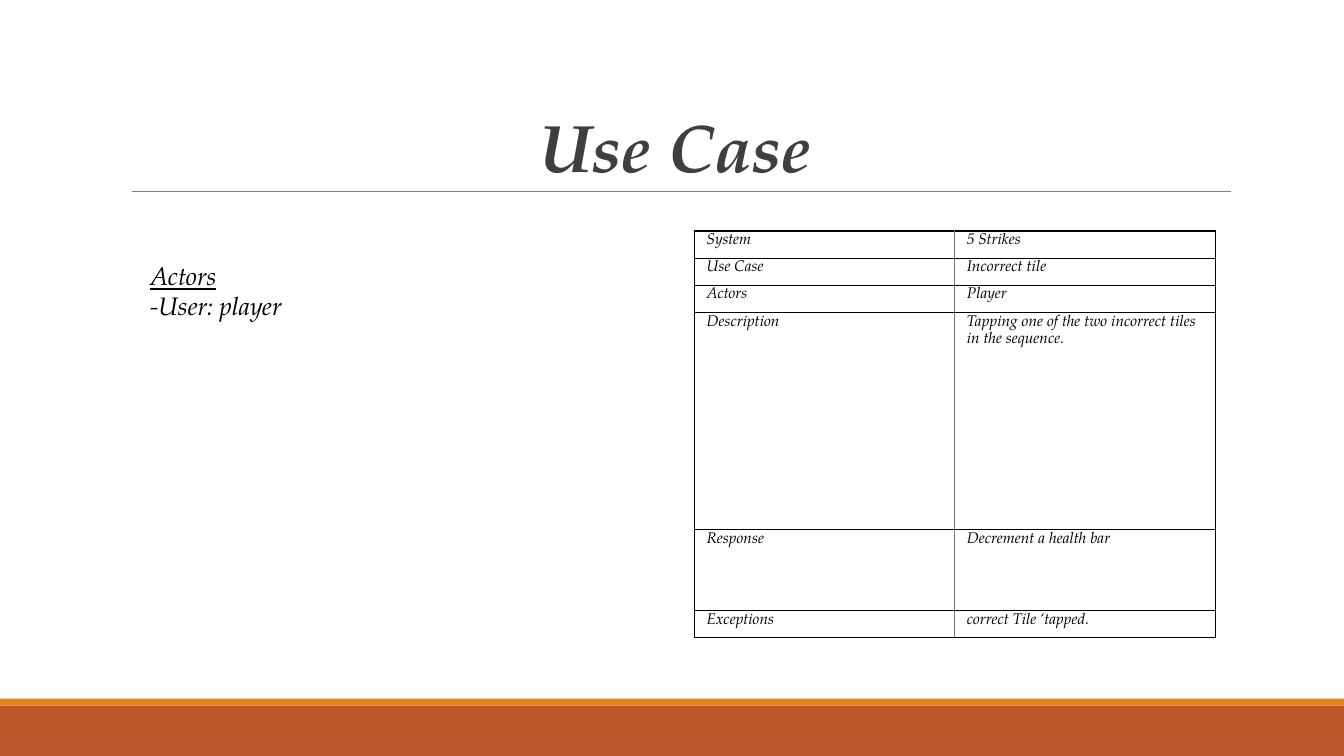
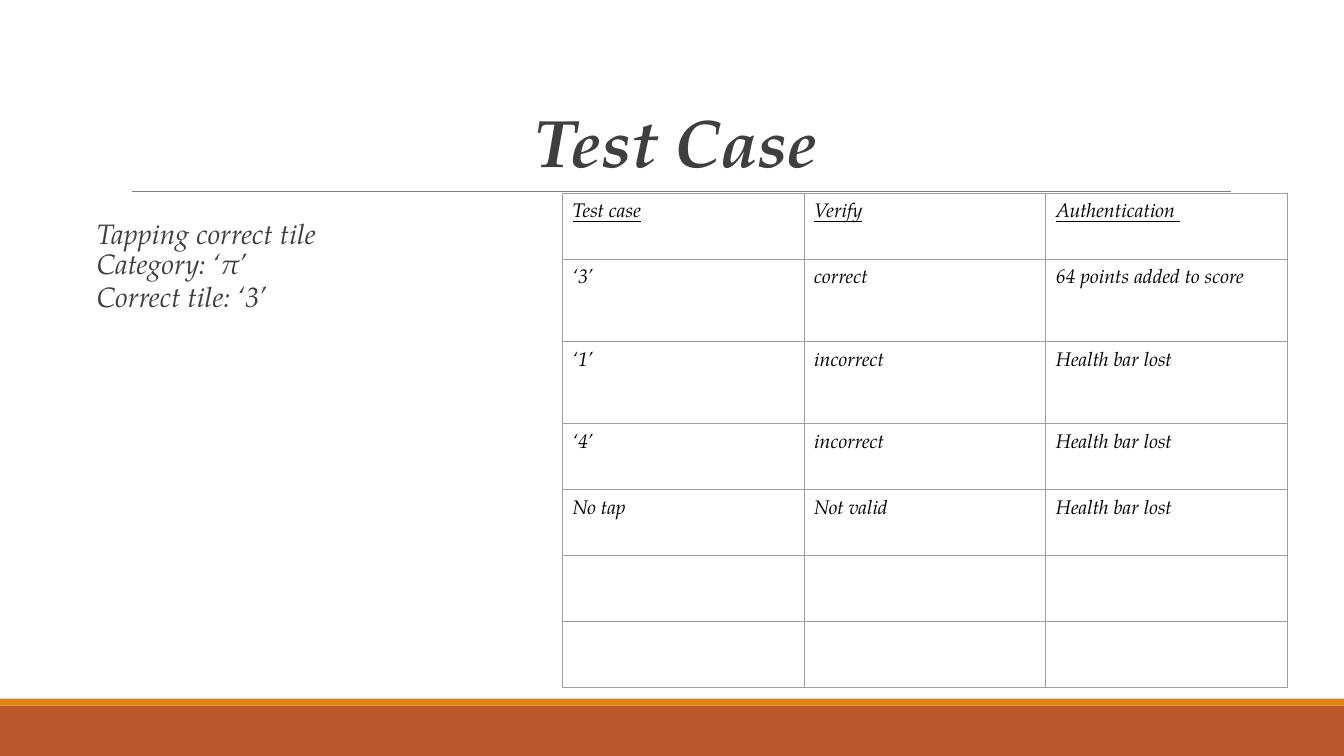
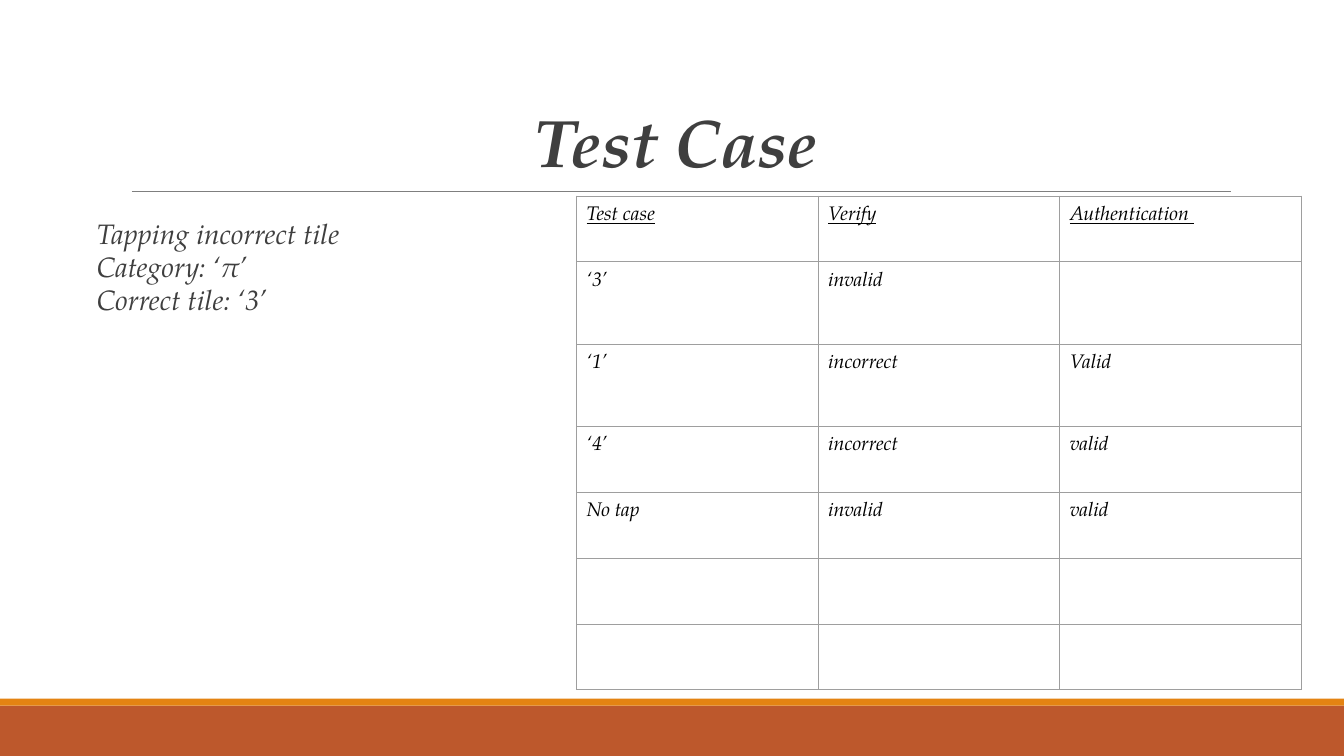
from dataclasses import dataclass
from typing import Optional

from pptx import Presentation, util as u
from pptx.dml.color import RGBColor
from pptx.enum import shapes, text
from pptx.oxml import ns, xmlchemy

Pt = u.Pt

# Shared look
FONT = "TeX Gyre Pagella"
BLACK = RGBColor(0x00, 0x00, 0x00)
WHITE = RGBColor(0xFF, 0xFF, 0xFF)
DARK_GRAY = RGBColor(0x3F, 0x3F, 0x3F)
RULE_GRAY = RGBColor(0x7F, 0x7F, 0x7F)
GRID_GRAY = RGBColor(0x9E, 0x9E, 0x9E)
DIVIDER = RGBColor(0x83, 0x69, 0x67)
RUST = RGBColor(0xBD, 0x58, 0x2C)
ORANGE = RGBColor(0xE4, 0x83, 0x12)


@dataclass(frozen=True)
class Box:
    left: float
    top: float
    width: float
    height: float


@dataclass(frozen=True)
class Band:
    box: Box
    color: RGBColor


@dataclass(frozen=True)
class TextStyle:
    size: float
    color: RGBColor = BLACK
    bold: bool = False
    underline: bool = False
    line_spacing: float = 1.0
    space_before: float = 0


@dataclass(frozen=True)
class Line:
    words: str
    style: TextStyle


@dataclass(frozen=True)
class TableStyle:
    header: TextStyle
    body: TextStyle
    margin_x: float
    margin_y: float
    border: RGBColor
    divider: RGBColor
    border_width: float
    fill: Optional[RGBColor] = None


@dataclass(frozen=True)
class TestCase:
    lines: list[Line]
    table_left: float
    table_top: float
    results: list[list[str]]


BANDS = [Band(Box(0, 504, 960, 36), RUST), Band(Box(0, 499, 960, 5), ORANGE)]
TITLE_BOX = Box(86.4, 22.3, 792, 114.5)
BODY_BOX = Box(61.9, 149.8, 792, 316.8)
ACTORS_BOX = Box(100.1, 182.2, 343.4, 116.6)

TITLE = TextStyle(48, DARK_GRAY, bold=True, line_spacing=0.85)
BODY = TextStyle(20, DARK_GRAY, line_spacing=0.9)
BODY_SPACED = TextStyle(20, DARK_GRAY, line_spacing=0.9, space_before=2)
ACTOR = TextStyle(18)
ACTOR_HEADING = TextStyle(18, underline=True)
USE_CASE_CELL = TextStyle(11, line_spacing=1.15)

USE_CASE_TABLE = TableStyle(USE_CASE_CELL, USE_CASE_CELL, 8.64, 0,
                            BLACK, DIVIDER, 1, WHITE)
TEST_TABLE = TableStyle(TextStyle(14, underline=True), TextStyle(14), 7.2, 7.2,
                        GRID_GRAY, GRID_GRAY, 0.75)


# Drawing helpers
def place(shape, box: Box) -> None:
    shape.left, shape.top = Pt(box.left), Pt(box.top)
    shape.width, shape.height = Pt(box.width), Pt(box.height)


def format_paragraph(paragraph, style: TextStyle) -> None:
    paragraph.line_spacing = style.line_spacing
    paragraph.space_before = Pt(style.space_before)
    for run in paragraph.runs:
        font = run.font
        font.name, font.size = FONT, Pt(style.size)
        font.bold, font.italic = style.bold, True
        font.underline = style.underline
        font.color.rgb = style.color


def set_indent(paragraph, left: float, first: float) -> None:
    properties = paragraph._p.get_or_add_pPr()
    properties.set("marL", str(Pt(left)))
    properties.set("indent", str(Pt(first)))


def write_lines(shape, lines: list[Line], margin_y: float) -> None:
    frame = shape.text_frame
    frame.word_wrap = True
    frame.auto_size = text.MSO_AUTO_SIZE.NONE
    frame.margin_left = frame.margin_right = Pt(7.2)
    frame.margin_top = frame.margin_bottom = Pt(margin_y)
    frame.text = "\n".join(line.words for line in lines)
    for paragraph, line in zip(frame.paragraphs, lines):
        format_paragraph(paragraph, line.style)


def add_title(slide, words: str, margin_y: float):
    title = slide.shapes.title
    place(title, TITLE_BOX)
    write_lines(title, [Line(words, TITLE)], margin_y)
    title.text_frame.vertical_anchor = text.MSO_ANCHOR.BOTTOM
    return title.text_frame.paragraphs[0]


def add_body(slide, lines: list[Line]) -> None:
    body = slide.placeholders[1]
    place(body, BODY_BOX)
    write_lines(body, lines, 7.2)
    for paragraph in body.text_frame.paragraphs:
        set_indent(paragraph, 0, 0)
        paragraph._p.get_or_add_pPr().append(xmlchemy.OxmlElement("a:buNone"))


def add_border(cell, side: str, color: RGBColor, width: float) -> None:
    line = xmlchemy.OxmlElement(f"a:{side}")
    line.set("w", str(Pt(width)))
    fill = xmlchemy.OxmlElement("a:solidFill")
    color_value = xmlchemy.OxmlElement("a:srgbClr")
    color_value.set("val", str(color))
    fill.append(color_value)
    line.append(fill)
    cell._tc.get_or_add_tcPr().append(line)


def format_cell(cell, words: str, text_style: TextStyle, style: TableStyle,
                first: bool, last: bool) -> None:
    cell.margin_left = cell.margin_right = Pt(style.margin_x)
    cell.margin_top = cell.margin_bottom = Pt(style.margin_y)
    cell.text = words
    format_paragraph(cell.text_frame.paragraphs[0], text_style)
    borders = {"lnL": style.border if first else style.divider,
               "lnR": style.border if last else style.divider,
               "lnT": style.border, "lnB": style.border}
    for side, color in borders.items():
        add_border(cell, side, color, style.border_width)
    if style.fill is None:
        cell.fill.background()
    else:
        cell.fill.solid()
        cell.fill.fore_color.rgb = style.fill


def add_table(slide, left: float, top: float, width: float,
              heights: list[float], rows: list[list[str]],
              style: TableStyle) -> None:
    columns = len(rows[0])
    table = slide.shapes.add_table(len(rows), columns, Pt(left), Pt(top),
                                   Pt(width), Pt(sum(heights))).table
    table.first_row = table.horz_banding = False
    for column in table.columns:
        column.width = Pt(width / columns)
    for row_index, (height, row) in enumerate(zip(heights, rows)):
        table.rows[row_index].height = Pt(height)
        text_style = style.body if row_index else style.header
        for column_index, words in enumerate(row):
            format_cell(table.cell(row_index, column_index), words, text_style,
                        style, column_index == 0, column_index == columns - 1)


def decorate_master(presentation, slide) -> None:
    """Draw the bands and title rule, then move them to the slide master."""
    decorations = []
    for band in BANDS:
        shape = slide.shapes.add_shape(shapes.MSO_SHAPE.RECTANGLE, 0, 0, 0, 0)
        place(shape, band.box)
        shape.shadow.inherit = False
        shape.fill.solid()
        shape.fill.fore_color.rgb = band.color
        shape.line.fill.background()
        decorations.append(shape)
    rule = slide.shapes.add_connector(shapes.MSO_CONNECTOR.STRAIGHT, Pt(94.3),
                                      Pt(136.8), Pt(879.1), Pt(136.8))
    rule.line.color.rgb = RULE_GRAY
    rule.line.width = Pt(0.75)
    rule.element.spPr.append(xmlchemy.OxmlElement("a:effectLst"))
    decorations.append(rule)
    for number, shape in enumerate(decorations, start=20):
        next(shape.element.iter(ns.qn("p:cNvPr"))).set("id", str(number))
        presentation.slide_master.shapes.element.append(shape.element)


# Slide content
USE_CASE_ROWS = [
    ["System", "5 Strikes"],
    ["Use Case", "Incorrect tile"],
    ["Actors", "Player"],
    ["Description", "Tapping one of the two incorrect tiles in the sequence."],
    ["Response", "Decrement a health bar"],
    ["Exceptions", "correct Tile ‘tapped."],
]
USE_CASE_HEIGHTS = [19.4, 19.4, 19.4, 155, 58, 19.4]
TEST_HEADER = ["Test case", "Verify", "Authentication "]
TEST_HEIGHTS = [47.1, 58.7, 58.7, 47.1, 47.1, 47.1, 47.1]
EMPTY_ROWS = [[""] * 3] * 2

TEST_CASES = [
    TestCase(
        [Line("Tapping correct tile", BODY),
         Line("Category: ‘π’", BODY),
         Line("Correct tile: ‘3’", BODY_SPACED)],
        401.8, 138.2,
        [["‘3’", "correct", "64 points added to score"],
         ["‘1’", "incorrect", "Health bar lost"],
         ["‘4’", "incorrect", "Health bar lost"],
         ["No tap", "Not valid", "Health bar lost"]]),
    TestCase(
        [Line("Tapping incorrect tile", BODY),
         Line("Category: ‘π’", BODY_SPACED),
         Line("Correct tile: ‘3’", BODY_SPACED)],
        411.8, 140,
        [["‘3’", "invalid", ""],
         ["‘1’", "incorrect", "Valid"],
         ["‘4’", "incorrect", "valid"],
         ["No tap", "invalid", "valid"]]),
]


def build_use_case(presentation):
    slide = presentation.slides.add_slide(presentation.slide_layouts[5])
    add_title(slide, "Use Case", 3.6).alignment = text.PP_ALIGN.CENTER
    add_table(slide, 496.1, 165, 371.9, USE_CASE_HEIGHTS, USE_CASE_ROWS,
              USE_CASE_TABLE)
    actors = slide.shapes.add_textbox(0, 0, 0, 0)
    place(actors, ACTORS_BOX)
    write_lines(actors, [Line("Actors", ACTOR_HEADING),
                         Line("-User: player", ACTOR)], 3.6)
    return slide


def build_test_case(presentation, case: TestCase) -> None:
    slide = presentation.slides.add_slide(presentation.slide_layouts[1])
    title = add_title(slide, "Test Case", 7.2)
    title.alignment = text.PP_ALIGN.LEFT
    set_indent(title, 252, 36)
    add_body(slide, case.lines)
    add_table(slide, case.table_left, case.table_top, 517.8, TEST_HEIGHTS,
              [TEST_HEADER, *case.results, *EMPTY_ROWS], TEST_TABLE)


def main() -> None:
    presentation = Presentation()
    presentation.slide_width, presentation.slide_height = Pt(960), Pt(540)
    use_case = build_use_case(presentation)
    decorate_master(presentation, use_case)
    for case in TEST_CASES:
        build_test_case(presentation, case)
    presentation.save("out.pptx")


main()
